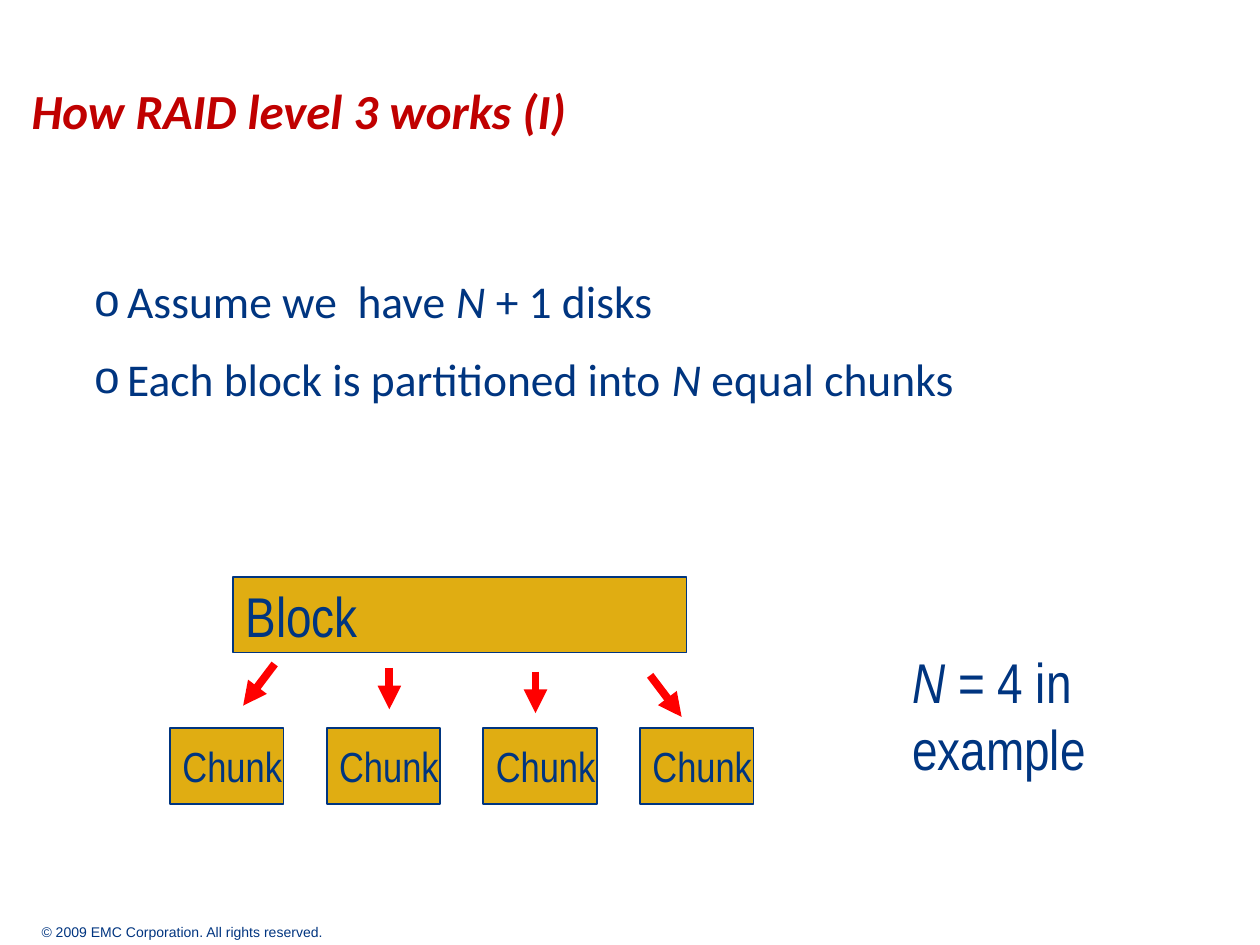
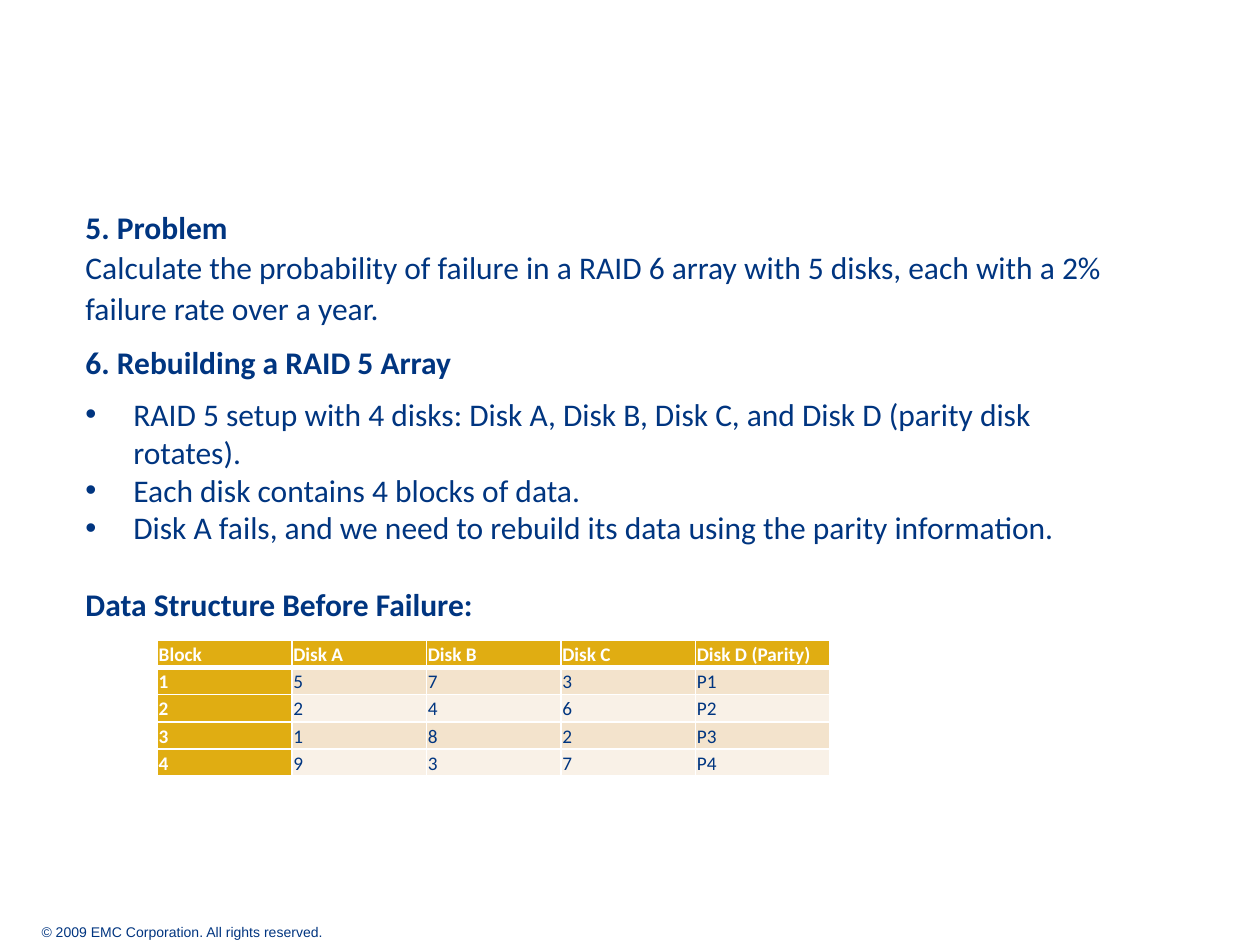
from lxml import etree
from pptx import Presentation
from pptx.dml.color import RGBColor
from pptx.enum.shapes import MSO_CONNECTOR, MSO_SHAPE
from pptx.enum.text import MSO_ANCHOR, MSO_AUTO_SIZE, PP_ALIGN
from pptx.oxml.ns import qn
from pptx.util import Inches, Pt

RECT = MSO_SHAPE.RECTANGLE
STRAIGHT = MSO_CONNECTOR.STRAIGHT
TOP, MIDDLE = MSO_ANCHOR.TOP, MSO_ANCHOR.MIDDLE
NO_FIT, GROW = MSO_AUTO_SIZE.NONE, MSO_AUTO_SIZE.SHAPE_TO_FIT_TEXT
LEFT = PP_ALIGN.LEFT

TITLE_ONLY, BLANK = 5, 6
NAVY, GOLD, CRIMSON, RED, WHITE = "003580", "E0AD12", "C00000", "FF0000", "FFFFFF"
BANDS = ["F3E3CC", "F9F1E7"]
FOOTER = "© 2009 EMC Corporation. All rights reserved."


def rgb(value):
    return RGBColor.from_string(value)


def add_child(parent, tag, **attrs):
    return etree.SubElement(parent, qn(tag), attrs)


def add_bullet(p, char, indent, color):
    pPr = p._p.get_or_add_pPr()
    pPr.set("marL", str(Inches(indent)))
    pPr.set("indent", str(-Inches(indent)))
    add_child(add_child(pPr, "a:buClr"), "a:srgbClr", val=color)
    add_child(pPr, "a:buFont", typeface="Arial")
    add_child(pPr, "a:buChar", char=char)


def add_text(tf, *runs, size=18, font="Calibri", color=NAVY, bold=False, italic=False,
             line=None, before=0, after=0, bullet=None, indent=0):
    """Add one paragraph; a run is a string, a line break, or (string, font overrides)."""
    p = tf.paragraphs[0]
    if p.runs:
        p = tf.add_paragraph()
    if bullet:
        add_bullet(p, bullet, indent, color)
    p.alignment = LEFT
    p.space_before, p.space_after = Pt(before), Pt(after)
    if line:
        p.line_spacing = line
    for run in runs:
        if run == "\n":
            p.add_line_break()
            continue
        text, changes = (run, {}) if isinstance(run, str) else run
        r = p.add_run()
        r.text = text
        r.font.name, r.font.size = font, Pt(size)
        r.font.bold, r.font.italic = bold, italic
        r.font.color.rgb = rgb(color)
        for name, value in changes.items():
            setattr(r.font, name, value)


class Deck:
    def __init__(self):
        self.prs = Presentation()
        self.prs.slide_width, self.prs.slide_height = Inches(10), Inches(7.5)
        self.slide = None

    def new_slide(self, title=None):
        layout = self.prs.slide_layouts[TITLE_ONLY if title else BLANK]
        self.slide = self.prs.slides.add_slide(layout)
        footer = self.text_box(0.33, 7.31, 2.44, 0.17, margin=0, wrap=False, anchor=MIDDLE)
        add_text(footer, FOOTER, size=8, font="Arial")
        if title:
            sp = self.slide.shapes.title
            sp.left, sp.top = Inches(0.25), Inches(0.64)
            sp.width, sp.height = Inches(9.52), Inches(0.5)
            tf = self.frame(sp, margin=0)
            add_text(tf, title, size=28, color=CRIMSON, bold=True, italic=True)

    def frame(self, sp, margin=None, wrap=True, anchor=TOP, fit=NO_FIT):
        tf = sp.text_frame
        tf.word_wrap, tf.vertical_anchor, tf.auto_size = wrap, anchor, fit
        if margin is not None:
            tf.margin_left = tf.margin_right = Inches(margin)
            tf.margin_top = tf.margin_bottom = Inches(margin)
        return tf

    def text_box(self, x, y, w, h, **options):
        sp = self.slide.shapes.add_textbox(Inches(x), Inches(y), Inches(w), Inches(h))
        return self.frame(sp, **options)

    def box(self, x, y, w, h, label, size):
        sp = self.slide.shapes.add_shape(RECT, Inches(x), Inches(y), Inches(w), Inches(h))
        sp.shadow.inherit = False
        sp.fill.solid()
        sp.fill.fore_color.rgb = rgb(GOLD)
        sp.line.color.rgb = rgb(NAVY)
        sp.line.width = Pt(1)
        tf = self.frame(sp, wrap=False, anchor=MIDDLE)
        add_text(tf, label, size=size, font="Arial Narrow")

    def arrow(self, x1, y1, x2, y2):
        line = self.slide.shapes.add_connector(
            STRAIGHT, Inches(x1), Inches(y1), Inches(x2), Inches(y2))
        line.line.color.rgb = rgb(RED)
        line.line.width = Pt(4.5)
        add_child(line.line._get_or_add_ln(), "a:tailEnd", type="triangle")
        add_child(line._element.spPr, "a:effectLst")

    def table(self, x, y, w, row_height, rows):
        n_rows, n_cols = len(rows), len(rows[0])
        table = self.slide.shapes.add_table(
            n_rows, n_cols, Inches(x), Inches(y), Inches(w), Inches(row_height * n_rows)).table
        table.horz_banding = False
        for i, values in enumerate(rows):
            for j, value in enumerate(values):
                header = i == 0 or j == 0
                self.cell(table.cell(i, j), value, header, GOLD if header else BANDS[(i - 1) % 2],
                          top=3 if i == 1 else 1, bottom=3 if i == 0 else 1)

    def cell(self, cell, text, header, fill, top, bottom):
        tcPr = cell._tc.get_or_add_tcPr()
        for side, width in (("L", 1), ("R", 1), ("T", top), ("B", bottom)):
            ln = add_child(tcPr, f"a:ln{side}", w=str(Pt(width)))
            add_child(add_child(ln, "a:solidFill"), "a:srgbClr", val=WHITE)
        cell.fill.solid()
        cell.fill.fore_color.rgb = rgb(fill)
        cell.vertical_anchor = MIDDLE
        cell.margin_left = cell.margin_right = Inches(0.01)
        cell.margin_top = cell.margin_bottom = Inches(0.01)
        add_text(cell.text_frame, text, size=11, color=WHITE if header else NAVY,
                 bold=header, line=1.07, after=8)


def build_raid3_slide(deck):
    deck.new_slide("How RAID level 3 works (I)")
    italic = {"italic": True}
    body = deck.text_box(0.75, 2.17, 8.5, 1.25, margin=0)
    style = dict(size=26, bullet="o", indent=0.26)
    add_text(body, "Assume we  have ", ("N ", italic), "+ 1 disks", **style)
    add_text(body, "Each block is partitioned into ", ("N", italic), " equal chunks",
             before=13, **style)

    deck.box(1.85, 4.58, 3.6, 0.6, "Block", 32)
    first, last, count = 1.35, 5.08, 4
    for i in range(count):
        deck.box(first + i * (last - first) / (count - 1), 5.78, 0.9, 0.6, "Chunk", 24)
    for i, (x1, x2) in enumerate([(2.18, 1.93), (3.09, 3.09), (4.25, 4.25), (5.16, 5.41)]):
        y = 5.27 + 0.03 * i
        deck.arrow(x1, y, x2, y + 0.33)

    note = deck.text_box(7.14, 5.09, 1.58, 1.17, wrap=False, fit=GROW)
    add_text(note, ("N", italic), " = 4 in", size=32, font="Arial Narrow")
    add_text(note, "example", size=32, font="Arial Narrow")


def build_rebuild_slide(deck):
    deck.new_slide()
    tf = deck.text_box(0.58, 1.58, 8.42, 3.75, fit=GROW)
    spaced = dict(line=1.07, after=8)
    add_text(tf, ("5. Problem", {"bold": True}), "\n",
             "Calculate the probability of failure in a RAID 6 array with 5 disks, "
             "each with a 2% failure rate over a year.", **spaced)
    add_text(tf, "6. Rebuilding a RAID 5 Array", bold=True, **spaced)
    for point in (
        "RAID 5 setup with 4 disks: Disk A, Disk B, Disk C, and Disk D (parity disk rotates).",
        "Each disk contains 4 blocks of data.",
        "Disk A fails, and we need to rebuild its data using the parity information.",
    ):
        add_text(tf, point, bullet="•", indent=0.38)
    add_text(tf, "Data Structure Before Failure:", bold=True, before=22)

    deck.table(1.25, 5.08, 5.34, 0.19, [
        ["Block", "Disk A", "Disk B", "Disk C", "Disk D (Parity)"],
        ["1", "5", "7", "3", "P1"],
        ["2", "2", "4", "6", "P2"],
        ["3", "1", "8", "2", "P3"],
        ["4", "9", "3", "7", "P4"],
    ])


def main():
    deck = Deck()
    build_raid3_slide(deck)
    build_rebuild_slide(deck)
    deck.prs.save("out.pptx")


if __name__ == "__main__":
    main()
